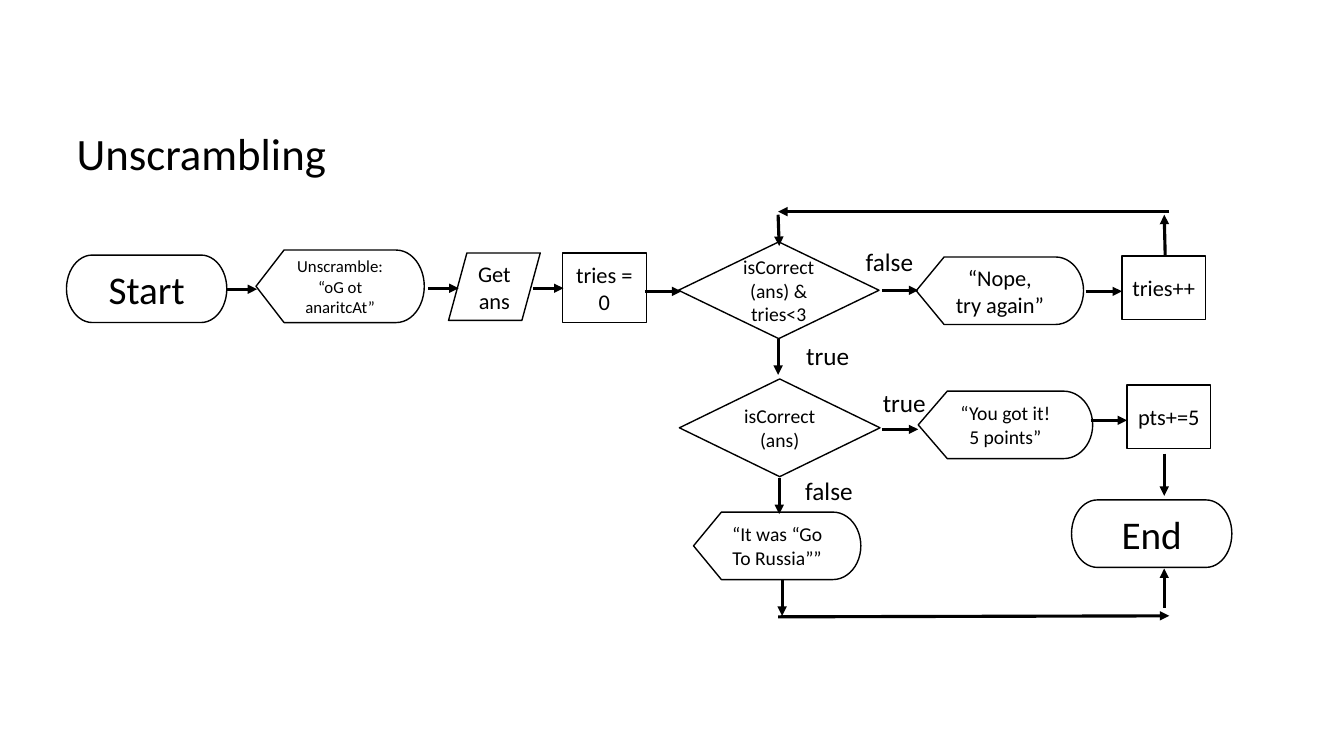
import pptx
import pptx.dml.color
import pptx.enum.shapes
import pptx.enum.text
import pptx.oxml
import pptx.oxml.ns
import pptx.util

Pt = pptx.util.Pt
Shape = pptx.enum.shapes.MSO_SHAPE
Align = pptx.enum.text.PP_ALIGN
Anchor = pptx.enum.text.MSO_ANCHOR
BLACK = pptx.dml.color.RGBColor(0, 0, 0)
WHITE = pptx.dml.color.RGBColor(255, 255, 255)
FONT = "Calibri"

STEPS = [
    (Shape.FLOWCHART_TERMINATOR, 47.5, 182.2, 114.5, 48.2, "Start", 28),
    (Shape.FLOWCHART_DISPLAY, 182.9, 178.6, 120.2, 51.8, "Unscramble: “oG ot anaritcAt”", 12),
    (Shape.FLOWCHART_DATA, 320.4, 180.7, 65.5, 48.2, "Get ans", 16),
    (Shape.FLOWCHART_PROCESS, 401.8, 180.7, 59.8, 49.7, "tries = 0", 16),
    (Shape.FLOWCHART_DECISION, 484.6, 172.8, 143.3, 69.1, "isCorrect (ans) & tries<3", 14),
    (Shape.FLOWCHART_DISPLAY, 654.5, 183.6, 119.5, 48.2, "“Nope, try again”", 16),
    (Shape.FLOWCHART_PROCESS, 801.4, 182.9, 59.8, 45.4, "tries++", 16),
    (Shape.FLOWCHART_DECISION, 485.3, 270.7, 143.3, 69.8, "isCorrect (ans)", 14),
    (Shape.FLOWCHART_DISPLAY, 655.9, 279.4, 124.6, 48.2, "“You got it! 5 points”", 14),
    (Shape.FLOWCHART_PROCESS, 805, 275, 59.8, 45.4, "pts+=5", 16),
    (Shape.FLOWCHART_DISPLAY, 495.4, 365.8, 119.5, 48.2, "“It was “Go To Russia””", 14),
    (Shape.FLOWCHART_TERMINATOR, 765.4, 357.1, 114.5, 48.2, "End", 28),
]

ARROWS = [
    (162, 206.6, 183.6, 206.6),
    (306, 205.9, 327.6, 205.9),
    (380.9, 205.9, 402.5, 205.9),
    (460.8, 208.1, 486.7, 208.1),
    (630, 207.4, 655.9, 207.4),
    (775.4, 208.1, 801.4, 208.1),
    (832.3, 182.2, 831.6, 153.4),
    (835.2, 151.2, 555.8, 151.2),
    (555.8, 153.4, 556.6, 175.7),
    (555.8, 241.9, 555.8, 267.8),
    (630, 306.7, 655.9, 306.7),
    (779, 300.2, 805, 300.2),
    (831.6, 324, 831.6, 354.2),
    (556.6, 341.3, 556.6, 367.2),
    (558.7, 414, 558.7, 439.9),
    (555.8, 440.6, 835.2, 439.9),
    (831.6, 434.2, 831.6, 406.1),
]

BRANCHES = [
    (611.3, 172.1, 49, "false"),
    (568.8, 239.8, 45.4, "true"),
    (623.5, 272.9, 45.4, "true"),
    (568.1, 336.2, 49, "false"),
]


def write(frame, text, size, align, anchor, wrap=True):
    frame.word_wrap = wrap
    frame.vertical_anchor = anchor
    paragraph = frame.paragraphs[0]
    paragraph.alignment = align
    run = paragraph.add_run()
    run.text = text
    run.font.name = FONT
    run.font.size = Pt(size)
    run.font.color.rgb = BLACK


def add_title(slide, text):
    title = slide.shapes.title
    title.left, title.top, title.width, title.height = map(Pt, (47.5, 86.4, 225.4, 46.1))
    write(title.text_frame, text, 32, Align.LEFT, Anchor.TOP)
    title.text_frame.auto_size = pptx.enum.text.MSO_AUTO_SIZE.NONE
    title.text_frame.paragraphs[0].line_spacing = 1.0


def add_step(slide, kind, left, top, width, height, text, size):
    step = slide.shapes.add_shape(kind, Pt(left), Pt(top), Pt(width), Pt(height))
    step.shadow.inherit = False
    step.fill.solid()
    step.fill.fore_color.rgb = WHITE
    step.line.color.rgb = BLACK
    step.line.width = Pt(1)
    write(step.text_frame, text, size, Align.CENTER, Anchor.MIDDLE)


def add_arrow(slide, *ends):
    arrow = slide.shapes.add_connector(
        pptx.enum.shapes.MSO_CONNECTOR.STRAIGHT, *map(Pt, ends))
    arrow.line.color.rgb = BLACK
    arrow.line.width = Pt(2.25)
    head = pptx.oxml.parse_xml(
        '<a:tailEnd %s type="triangle"/>' % pptx.oxml.ns.nsdecls("a"))
    arrow.line._get_or_add_ln().append(head)
    arrow._element.spPr.append(
        pptx.oxml.parse_xml("<a:effectLst %s/>" % pptx.oxml.ns.nsdecls("a")))


def add_branch(slide, left, top, width, text):
    branch = slide.shapes.add_textbox(Pt(left), Pt(top), Pt(width), Pt(28.8))
    write(branch.text_frame, text, 18, Align.LEFT, Anchor.TOP, wrap=False)


def main():
    deck = pptx.Presentation()
    deck.slide_width, deck.slide_height = Pt(960), Pt(540)
    slide = deck.slides.add_slide(deck.slide_layouts.get_by_name("Title Only"))
    add_title(slide, "Unscrambling")
    for step in STEPS:
        add_step(slide, *step)
    for arrow in ARROWS:
        add_arrow(slide, *arrow)
    for branch in BRANCHES:
        add_branch(slide, *branch)
    deck.save("out.pptx")


main()
